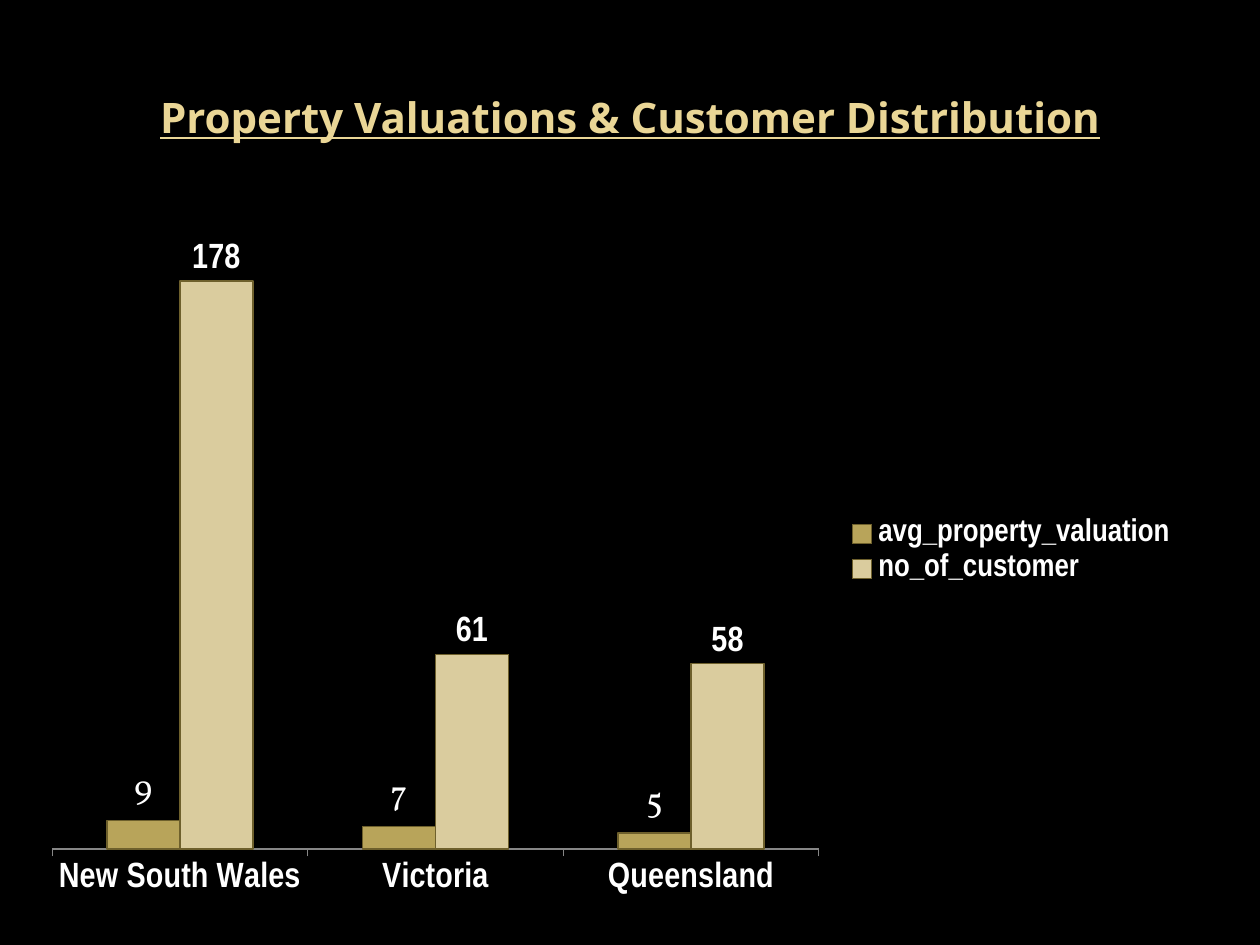
from lxml.etree import SubElement
from pptx import Presentation
from pptx.chart.data import CategoryChartData
from pptx.dml.color import RGBColor
from pptx.enum.chart import XL_CHART_TYPE as ChartType, XL_LABEL_POSITION as LabelPos
from pptx.enum.chart import XL_LEGEND_POSITION as LegendPos, XL_TICK_MARK as Tick
from pptx.enum.text import MSO_ANCHOR, PP_ALIGN
from pptx.oxml.ns import qn
from pptx.util import Inches, Pt

TITLE = "Property Valuations & Customer Distribution"
STATES = ["New South Wales", "Victoria", "Queensland"]
SERIES = [
    ("avg_property_valuation", [9, 7, 5], "gold", ("Vollkorn", False)),
    ("no_of_customer", [178, 61, 58], "sand", ("Arial Narrow", True)),
]
COLORS = {
    "background": "000000",
    "title": "EAD696",
    "text": "FFFFFF",
    "gold": "B8A45A",
    "sand": "DACC9E",
    "outline": "6E602C",
    "axis": "868686",
}
PLOT_AREA = {"x": 0.02, "y": 0.02, "w": 0.66, "h": 0.9}


def color(name):
    return RGBColor.from_string(COLORS[name])


def style(font, face, size, bold, tint="text"):
    font.name, font.size, font.bold = face, Pt(size), bold
    font.color.rgb = color(tint)


def place_plot(chart):
    plot_area = chart.plots[0]._element.getparent()
    layout = plot_area.find(qn("c:layout"))
    if layout is None:
        layout = SubElement(plot_area, qn("c:layout"))
        plot_area.insert(0, layout)
    manual = SubElement(layout, qn("c:manualLayout"))
    settings = [("layoutTarget", "inner"), ("xMode", "edge"), ("yMode", "edge")]
    for tag, value in settings + list(PLOT_AREA.items()):
        SubElement(manual, qn(f"c:{tag}")).set("val", str(value))


def add_title(slide):
    title = slide.shapes.title
    title.left, title.top = Inches(0.5), Inches(0.3)
    title.width, title.height = Inches(9), Inches(1.25)
    title.text_frame.text = TITLE
    title.text_frame.vertical_anchor = MSO_ANCHOR.MIDDLE
    heading = title.text_frame.paragraphs[0]
    heading.alignment = PP_ALIGN.CENTER
    font = heading.runs[0].font
    style(font, "Open Sans", 24, True, "title")
    font.underline = True


def add_state_chart(slide):
    data = CategoryChartData()
    data.categories = STATES
    for name, values, _, _ in SERIES:
        data.add_series(name, values)
    chart = slide.shapes.add_chart(
        ChartType.COLUMN_CLUSTERED,
        Inches(0.23), Inches(1.56), Inches(9.22), Inches(5.63), data,
    ).chart
    style(chart.font, "Vollkorn", 10, False)
    chart.has_title = False

    states = chart.category_axis
    style(states.tick_labels.font, "Arial Narrow", 20, True)
    states.major_tick_mark = Tick.OUTSIDE
    states.format.line.color.rgb = color("axis")

    counts = chart.value_axis
    counts.visible = False
    counts.has_major_gridlines = False
    counts.minimum_scale, counts.maximum_scale = 0, 200

    chart.has_legend = True
    chart.legend.position = LegendPos.RIGHT
    chart.legend.include_in_layout = False
    style(chart.legend.font, "Arial Narrow", 18, True)

    columns = chart.plots[0]
    columns.vary_by_categories = False
    columns.gap_width, columns.overlap = 150, 0
    for series, (_, _, tint, (face, bold)) in zip(columns.series, SERIES):
        series.format.fill.solid()
        series.format.fill.fore_color.rgb = color(tint)
        series.format.line.color.rgb = color("outline")
        series.format.line.width = Pt(0.75)
        labels = series.data_labels
        labels.show_value = True
        labels.position = LabelPos.OUTSIDE_END
        style(labels.font, face, 20, bold)
    place_plot(chart)


def main():
    deck = Presentation()
    deck.slide_width, deck.slide_height = Inches(10), Inches(7.5)
    slide = deck.slides.add_slide(deck.slide_layouts[5])
    slide.background.fill.solid()
    slide.background.fill.fore_color.rgb = color("background")
    add_title(slide)
    add_state_chart(slide)
    deck.save("out.pptx")


if __name__ == "__main__":
    main()
